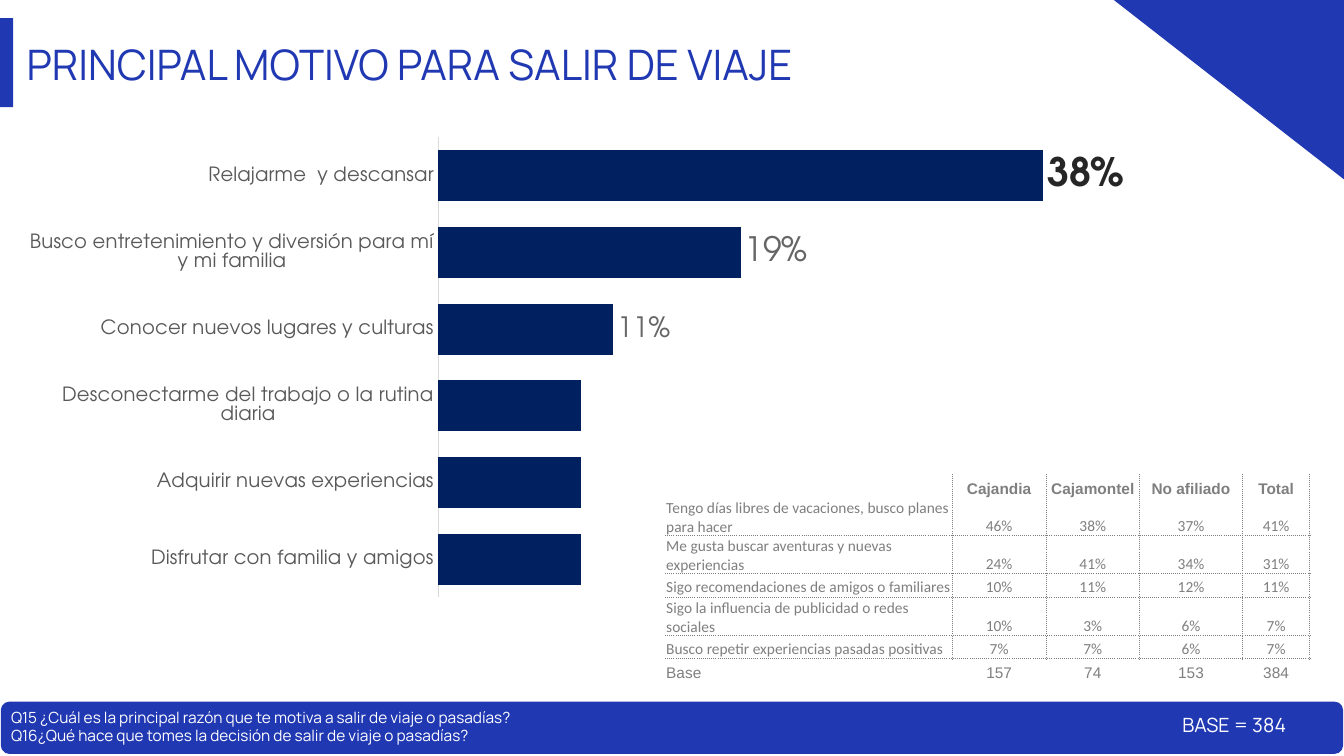
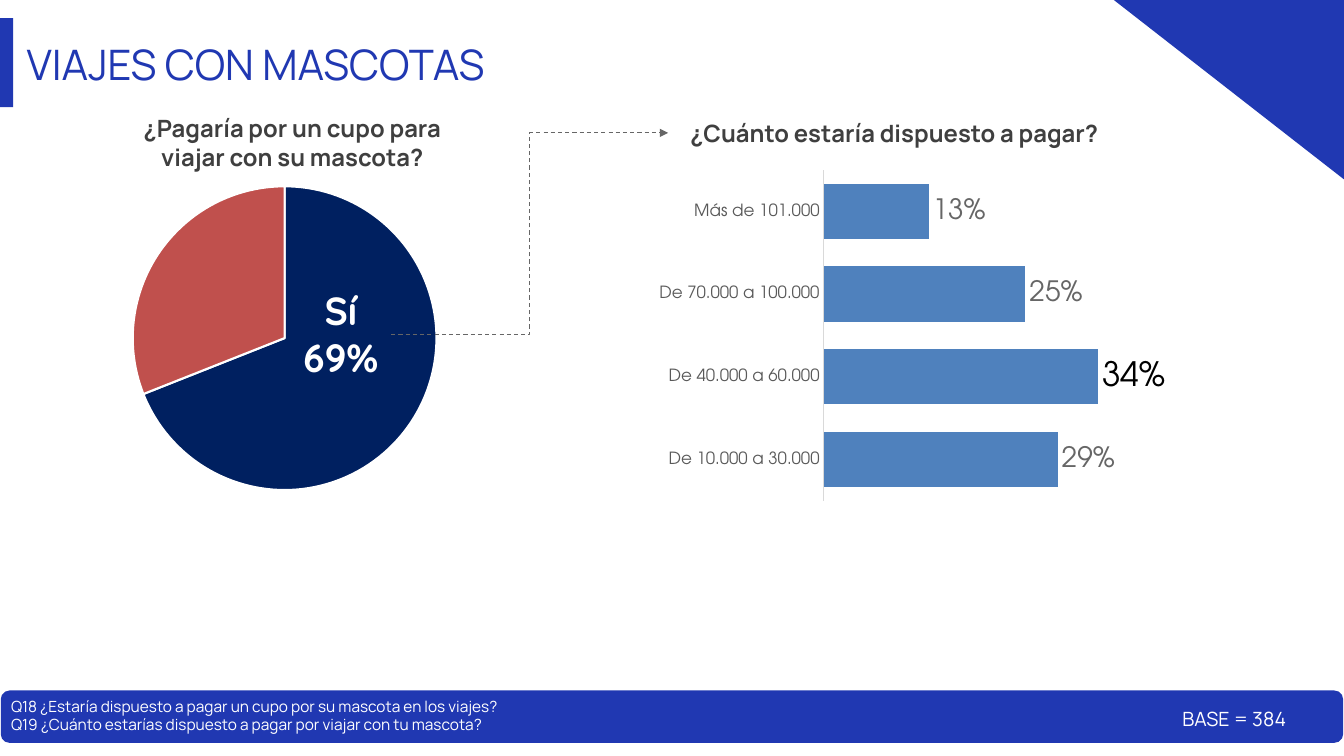
from lxml.etree import SubElement
from pptx import Presentation
from pptx.chart.data import CategoryChartData
from pptx.dml.color import RGBColor
from pptx.enum.chart import XL_CHART_TYPE, XL_LABEL_POSITION, XL_TICK_LABEL_POSITION, XL_TICK_MARK
from pptx.enum.dml import MSO_LINE
from pptx.enum.shapes import MSO_CONNECTOR, MSO_SHAPE
from pptx.enum.text import MSO_ANCHOR, MSO_AUTO_SIZE, PP_ALIGN
from pptx.oxml import parse_xml
from pptx.oxml.ns import nsdecls, qn
from pptx.util import Cm, Pt

COLORS = {
    "brand": "2038B2", "navy": "002060", "blue": "4F81BD", "red": "C0504D",
    "white": "FFFFFF", "black": "000000", "dark": "262626", "heading": "3F3F3F",
    "label": "666666", "axis": "595959", "rule": "D9D9D9", "table": "7F7F7F",
}
DISPLAY = "TeX Gyre Adventor"
TITLE = {"name": "Manrope", "size": Pt(30), "bold": False, "color": "brand"}
HEADING = {"name": "Manrope", "size": Pt(17), "bold": True, "color": "heading"}
NOTE = {"name": "Manrope", "size": Pt(11), "color": "white"}
BASE = {"name": "Manrope", "size": Pt(14), "color": "white"}
PIE_LABEL = {"name": "Quicksand", "size": Pt(28), "bold": True, "color": "white"}
BAR_LABEL = {"name": DISPLAY, "size": Pt(18), "bold": False, "color": "label"}
CELL = {"name": "Calibri", "size": Pt(11), "bold": False, "color": "table"}
CELL_BASE = {**CELL, "name": "Arial"}
CELL_HEAD = {**CELL_BASE, "bold": True}

BAR_PLOT = (0.366, 0.043, 0.565, 0.915)
PIE_PLOT = (0.078, 0.041, 0.884, 0.943)


def rgb(name):
    return RGBColor.from_string(COLORS[name])


def apply(obj, values):
    for key, value in values.items():
        if key == "color":
            obj.color.rgb = rgb(value)
        else:
            setattr(obj, key, value)


def paint(sp, color):
    sp.shadow.inherit = False
    sp.fill.solid()
    sp.fill.fore_color.rgb = rgb(color)
    sp.line.fill.background()


def write(tf, lines, fmt, align=PP_ALIGN.LEFT):
    for i, line in enumerate(lines):
        p = tf.paragraphs[0] if i == 0 else tf.add_paragraph()
        p.alignment = align
        r = p.add_run()
        r.text = line
        apply(r.font, fmt)


def add_text(s, box, lines, fmt, align=PP_ALIGN.CENTER):
    tf = s.shapes.add_textbox(*map(Cm, box)).text_frame
    tf.word_wrap = True
    write(tf, lines, fmt, align)


def add_frame(s, title):
    corner = s.shapes.build_freeform(Cm(33.87), Cm(0))
    corner.add_line_segments([(Cm(28.07), Cm(0)), (Cm(33.87), Cm(4.52))])
    paint(corner.convert_to_shape(), "brand")
    strip = s.shapes.add_shape(MSO_SHAPE.RECTANGLE, Cm(0), Cm(0.46), Cm(0.33), Cm(2.24))
    paint(strip, "brand")
    sp = s.shapes.title
    apply(sp, {"left": Cm(0.64), "top": Cm(0.94), "width": Cm(27.03), "height": Cm(1.32)})
    tf = sp.text_frame
    apply(tf, {
        "margin_left": Cm(0.03), "margin_top": Cm(0.03), "margin_right": 0, "margin_bottom": 0,
        "vertical_anchor": MSO_ANCHOR.TOP, "auto_size": MSO_AUTO_SIZE.NONE, "word_wrap": True,
    })
    write(tf, [title], TITLE)


def add_footer(s, top, base_offset, questions):
    band = s.shapes.add_shape(MSO_SHAPE.ROUNDED_RECTANGLE, Cm(0.02), Cm(top), Cm(33.83), Cm(1.32))
    paint(band, "brand")
    add_text(s, (0.03, top + 0.03, 22.35, 1.2), questions, NOTE, PP_ALIGN.LEFT)
    add_text(s, (29.24, top + base_offset, 3.73, 0.86), ["BASE = 384"], BASE)


def set_plot(chart, plot):
    area = chart._chartSpace.chart.plotArea
    for old in area.findall(qn("c:layout")):
        area.remove(old)
    layout = parse_xml(f"<c:layout {nsdecls('c')}/>")
    manual = SubElement(layout, qn("c:manualLayout"))
    parts = [("layoutTarget", "inner"), ("xMode", "edge"), ("yMode", "edge")]
    for tag, value in parts + list(zip("xywh", plot)):
        SubElement(manual, qn(f"c:{tag}")).set("val", str(value))
    area.insert(0, layout)


def add_chart(s, box, kind, cats, vals, fmt, plot):
    data = CategoryChartData(number_format=fmt)
    data.categories = cats
    data.add_series("Series 1", vals)
    chart = s.shapes.add_chart(kind, *map(Cm, box), data).chart
    apply(chart, {"has_legend": False, "has_title": False})
    apply(chart.font, {"name": "Arial", "size": Pt(10), "color": "black"})
    set_plot(chart, plot)
    return chart


def add_bars(s, box, rows, color, axis_size, accents):
    cats, vals = zip(*rows)
    chart = add_chart(s, box, XL_CHART_TYPE.BAR_CLUSTERED, cats, vals, "0%", BAR_PLOT)
    for axis in (chart.category_axis, chart.value_axis):
        apply(axis, {"has_major_gridlines": False, "major_tick_mark": XL_TICK_MARK.NONE,
                     "minor_tick_mark": XL_TICK_MARK.NONE})
    cat_axis, val_axis = chart.category_axis, chart.value_axis
    apply(cat_axis.tick_labels.font, {"name": DISPLAY, "size": Pt(axis_size), "color": "axis"})
    apply(cat_axis.format.line, {"color": "rule", "width": Pt(0.75)})
    apply(val_axis, {"minimum_scale": 0, "maximum_scale": 0.4,
                     "tick_label_position": XL_TICK_LABEL_POSITION.NONE})
    val_axis.format.line.fill.background()
    bars = chart.plots[0]
    apply(bars, {"gap_width": 50, "vary_by_categories": False, "has_data_labels": True})
    labels = bars.data_labels
    apply(labels, {"show_value": True, "position": XL_LABEL_POSITION.OUTSIDE_END,
                   "number_format": "0%", "number_format_is_linked": False})
    apply(labels.font, BAR_LABEL)
    series = bars.series[0]
    series.format.fill.solid()
    series.format.fill.fore_color.rgb = rgb(color)
    for i, accent in accents.items():
        label = series.points[i].data_label
        apply(label.font, {**BAR_LABEL, **accent})
        label.position = XL_LABEL_POSITION.OUTSIDE_END


def add_pie(s, box):
    chart = add_chart(s, box, XL_CHART_TYPE.PIE, ["1", "2"], [69, 31], "0", PIE_PLOT)
    for i, color in enumerate(("navy", "red")):
        fmt = chart.plots[0].series[0].points[i].format
        fmt.fill.solid()
        fmt.fill.fore_color.rgb = rgb(color)
        apply(fmt.line, {"color": "white", "width": Pt(1.5)})
    left, top = box[:2]
    add_text(s, (left + 4.65, top + 2.8, 2.54, 2.64), ["Sí", "69%"], PIE_LABEL)


def set_borders(cell, sides):
    tc_pr = cell._tc.get_or_add_tcPr()
    for i, side in enumerate("LRTB"):
        if side in sides:
            inner = (f'<a:solidFill><a:srgbClr val="{COLORS["table"]}"/></a:solidFill>'
                     '<a:prstDash val="sysDot"/>')
        else:
            inner = "<a:noFill/>"
        tc_pr.insert(i, parse_xml(f'<a:ln{side} {nsdecls("a")} w="9525">{inner}</a:ln{side}>'))


def add_reasons(s, left, top, rows):
    widths = (7.24, 2.36, 2.36, 2.59, 1.7)
    height = 0.59
    last = len(rows) - 1
    table = s.shapes.add_table(len(rows), len(widths), Cm(left), Cm(top),
                               Cm(sum(widths)), Cm(height * len(rows))).table
    apply(table, {"first_row": False, "horz_banding": False})
    for col, width in zip(table.columns, widths):
        col.width = Cm(width)
    for i, values in enumerate(rows):
        table.rows[i].height = Cm(height)
        fmt = {0: CELL_HEAD, last: CELL_BASE}.get(i, CELL)
        for j, value in enumerate(values):
            cell = table.cell(i, j)
            apply(cell, {"margin_left": Cm(0.03), "margin_right": Cm(0.03), "margin_top": Cm(0.03),
                         "margin_bottom": 0, "vertical_anchor": MSO_ANCHOR.BOTTOM})
            cell.fill.background()
            if value:
                write(cell.text_frame, [value], fmt, PP_ALIGN.CENTER if j else PP_ALIGN.LEFT)
            else:
                SubElement(cell.text_frame.paragraphs[0]._p, qn("a:endParaRPr")).set("sz", "1100")
            sides = {"R": i < last, "L": i < last and j > 0, "T": i > 1, "B": 0 < i < last}
            set_borders(cell, [side for side, shown in sides.items() if shown])


def add_elbow(s, start, end):
    cx = s.shapes.add_connector(MSO_CONNECTOR.ELBOW, *map(Cm, start + end))
    apply(cx.line, {"color": "label", "width": Pt(0.75), "dash_style": MSO_LINE.DASH})
    SubElement(cx.line._get_or_add_ln(), qn("a:tailEnd")).set("type", "triangle")
    SubElement(cx._element.spPr, qn("a:effectLst"))


def motives_slide(prs):
    s = prs.slides.add_slide(prs.slide_layouts[5])
    add_frame(s, "PRINCIPAL MOTIVO PARA SALIR DE VIAJE")
    add_bars(s, (0.64, 2.92, 28.42, 12.67), [
        ("Disfrutar con familia y amigos", 0.09),
        ("Adquirir nuevas experiencias", 0.09),
        ("Desconectarme del trabajo o la rutina diaria", 0.09),
        ("Conocer nuevos lugares y culturas", 0.11),
        ("Busco entretenimiento y diversión para mí y mi familia", 0.19),
        ("Relajarme  y descansar", 0.38),
    ], "navy", 14, {
        3: {"size": Pt(20)},
        4: {"size": Pt(24)},
        5: {"size": Pt(28), "bold": True, "color": "dark"},
    })
    add_footer(s, 17.68, 0.15, [
        "Q15 ¿Cuál es la principal razón que te motiva a salir de viaje o pasadías?",
        "Q16¿Qué hace que tomes la decisión de salir de viaje o pasadías?",
    ])
    add_reasons(s, 16.76, 11.94, [
        ("", "Cajandia", "Cajamontel", "No afiliado", "Total"),
        ("Tengo días libres de vacaciones, busco planes para hacer", "46%", "38%", "37%", "41%"),
        ("Me gusta buscar aventuras y nuevas experiencias", "24%", "41%", "34%", "31%"),
        ("Sigo recomendaciones de amigos o familiares", "10%", "11%", "12%", "11%"),
        ("Sigo la influencia de publicidad o redes sociales", "10%", "3%", "6%", "7%"),
        ("Busco repetir experiencias pasadas positivas", "7%", "7%", "6%", "7%"),
        ("Base", "157", "74", "153", "384"),
    ])


def pets_slide(prs):
    s = prs.slides.add_slide(prs.slide_layouts[5])
    add_frame(s, "VIAJES CON MASCOTAS")
    add_pie(s, (2.67, 4.29, 8.66, 8.26))
    add_text(s, (2.67, 2.74, 9.4, 1.7), ["¿Pagaría por un cupo para viajar con su mascota?"], HEADING)
    add_text(s, (16.15, 2.87, 12.78, 0.99), ["¿Cuánto estaría dispuesto a pagar?"], HEADING)
    add_elbow(s, (9.86, 8.43), (16.84, 3.35))
    medium = {"size": Pt(20)}
    add_bars(s, (15.49, 3.89, 14.4, 9.12), [
        ("De 10.000 a 30.000", 0.29),
        ("De 40.000 a 60.000", 0.34),
        ("De 70.000 a 100.000", 0.25),
        ("Más de 101.000", 0.13),
    ], "blue", 12, {0: medium, 1: {"size": Pt(24), "color": "black"}, 2: medium, 3: medium})
    add_footer(s, 17.4, 0.3, [
        "Q18 ¿Estaría dispuesto a pagar un cupo por su mascota en los viajes?",
        "Q19 ¿Cuánto estarías dispuesto a pagar por viajar con tu mascota?",
    ])


def main():
    prs = Presentation()
    apply(prs, {"slide_width": Cm(33.87), "slide_height": Cm(19.05)})
    motives_slide(prs)
    pets_slide(prs)
    prs.save("out.pptx")


if __name__ == "__main__":
    main()
